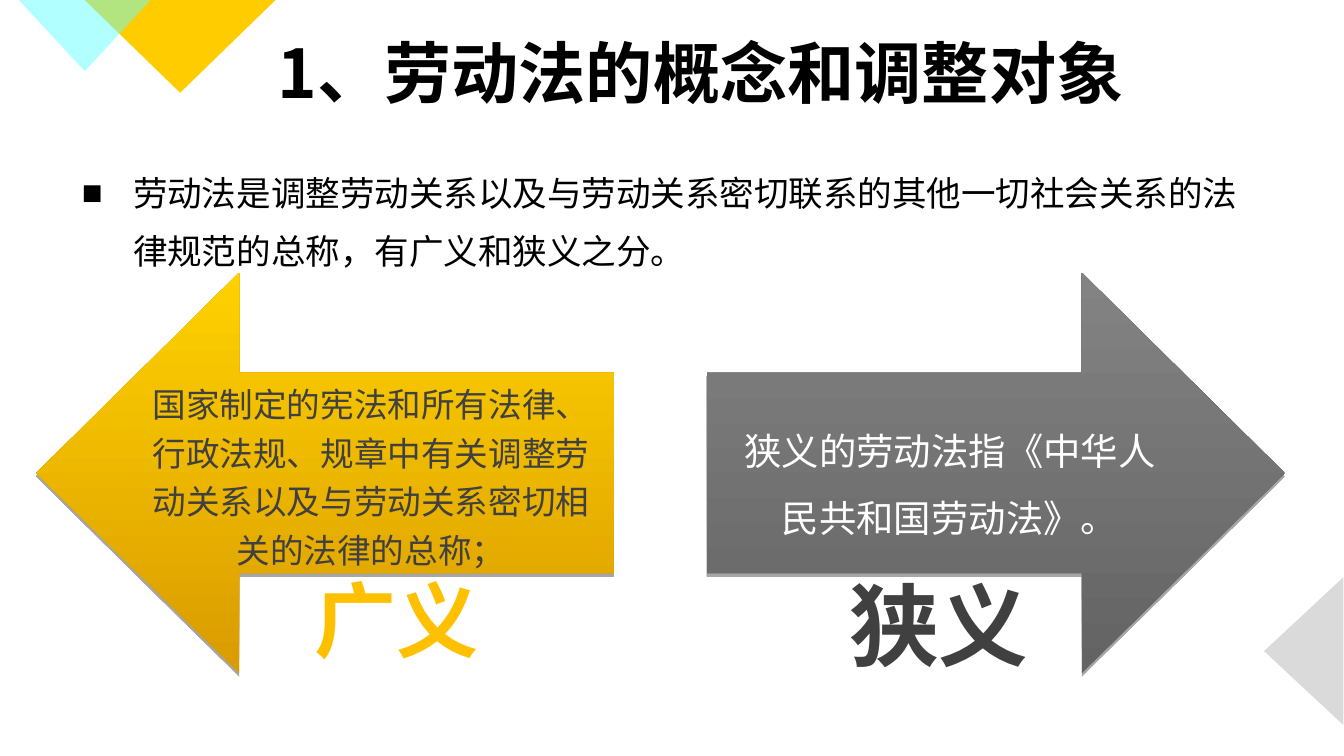
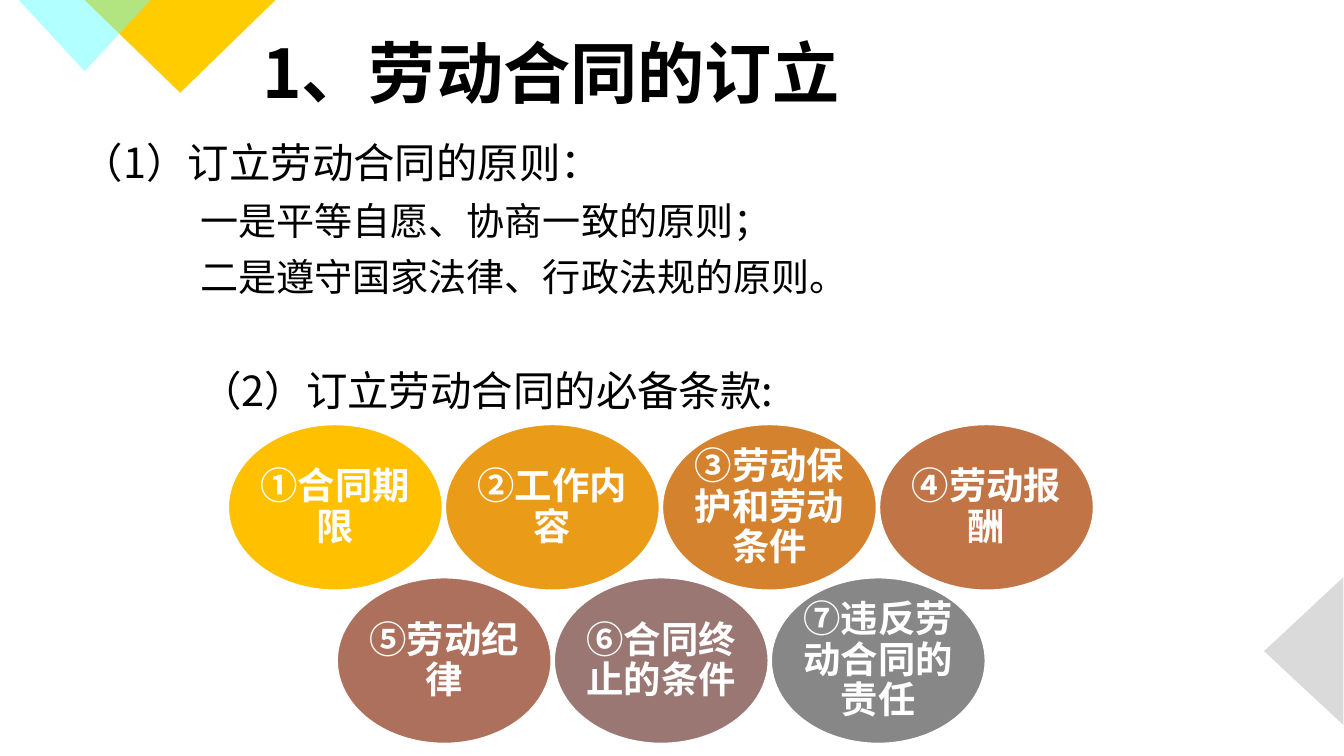
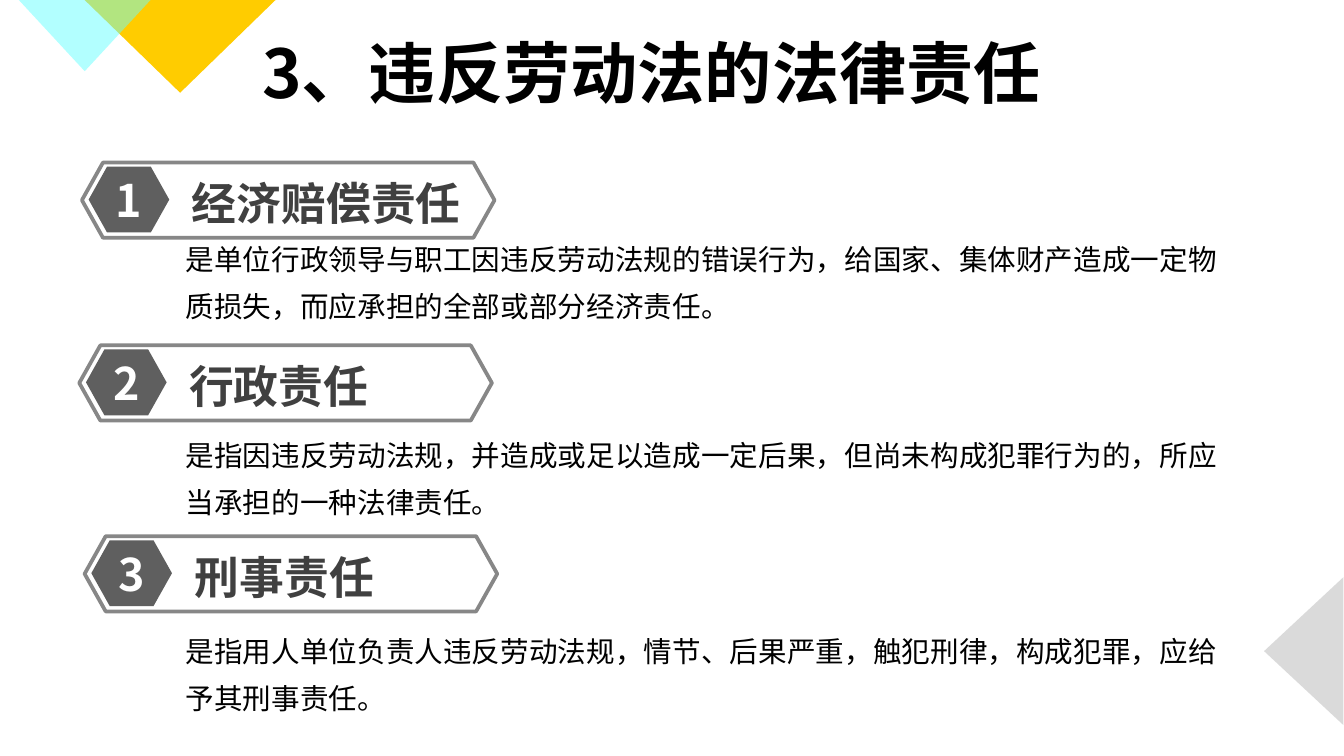
"""Build three slides on labour law: concept, contract and legal liability."""
from lxml import etree
from pptx import Presentation
from pptx import util as u
from pptx.dml.color import RGBColor
from pptx.enum import shapes, text
from pptx.oxml.ns import qn

FONT = "Noto Sans CJK SC"
COLORS = {
    "black": "000000", "white": "FFFFFF", "dark": "404040", "badge": "5F5F5F",
    "gray": "878787", "gold": "FFC000", "yellow": "FFCC00", "cyan": "66FFFF",
    "silver": "B7B7B7", "gold_low": "DA9C00", "gold_high": "FFD100",
    "gray_low": "636363", "gray_high": "838383", "orange": "EA9C18",
    "amber": "D5822F", "copper": "C17445", "clay": "AD705C", "mauve": "9A7772",
}
CENTER = text.PP_ALIGN.CENTER
LEFT = text.PP_ALIGN.LEFT


def rgb(name):
    return RGBColor.from_string(COLORS[name])


def place(shape, left, top, width, height):
    shape.left, shape.top = u.Inches(left), u.Inches(top)
    shape.width, shape.height = u.Inches(width), u.Inches(height)


def format_paragraph(paragraph, size, color="black", bold=False, align=LEFT,
                     line=None, before=0, margin=0, bullet=None):
    properties = paragraph._p.get_or_add_pPr()
    hanging = 0.38 if bullet else 0
    properties.set("marL", str(u.Inches(margin + hanging)))
    properties.set("indent", str(u.Inches(-hanging)))
    if bullet:
        etree.SubElement(properties, qn("a:buChar")).set("char", bullet)
    else:
        etree.SubElement(properties, qn("a:buNone"))
    paragraph.alignment = align
    paragraph.line_spacing = u.Pt(line or round(size * 1.2, 1))
    paragraph.space_before = u.Pt(before)
    paragraph.space_after = u.Pt(0)
    font = paragraph.font
    font.name, font.size, font.bold = FONT, u.Pt(size), bold
    font.color.rgb = rgb(color)
    east_asian = etree.SubElement(properties.find(qn("a:defRPr")), qn("a:ea"))
    east_asian.set("typeface", FONT)


def write(shape, content, size, margins=(0.1, 0.05, 0.1, 0.05),
          anchor=text.MSO_ANCHOR.MIDDLE, **style):
    frame = shape.text_frame
    frame.word_wrap = True
    frame.auto_size = text.MSO_AUTO_SIZE.NONE
    frame.vertical_anchor = anchor
    (frame.margin_left, frame.margin_top,
     frame.margin_right, frame.margin_bottom) = map(u.Inches, margins)
    frame.text = content
    format_paragraph(frame.paragraphs[0], size, **style)


def add_label(slide, content, left, top, width, height, size, color):
    label = slide.shapes.add_textbox(0, 0, 0, 0)
    place(label, left, top, width, height)
    write(label, content, size, anchor=text.MSO_ANCHOR.TOP, color=color, bold=True)


def add_solid(slide, preset, box, fill, line=None):
    shape = slide.shapes.add_shape(preset, *map(u.Inches, box))
    shape.shadow.inherit = False
    shape.fill.solid()
    shape.fill.fore_color.rgb = rgb(fill)
    if line:
        shape.line.color.rgb = rgb(line)
        shape.line.width = u.Pt(2)
    else:
        shape.line.fill.background()
    return shape


def add_hexagon(slide, box, fill, line=None):
    hexagon = add_solid(slide, shapes.MSO_SHAPE.HEXAGON, box, fill, line)
    hexagon.adjustments[0] = 0.28
    return hexagon


def add_corners(slide, layout):
    """Draw the corner triangles and hand them to the shared layout."""
    for box, rotation, color, opacity in (
            ((0.63, 0, 1.42, 0.69), 180, "yellow", 100),
            ((0.14, 0, 0.98, 0.53), 180, "cyan", 50),
            ((9.15, 4.55, 1.1, 0.59), 270, "silver", 50)):
        triangle = add_solid(slide, shapes.MSO_SHAPE.ISOSCELES_TRIANGLE, box, color)
        triangle.rotation = rotation
        if opacity < 100:
            fill_color = next(triangle.element.spPr.iter(qn("a:srgbClr")))
            etree.SubElement(fill_color, qn("a:alpha")).set("val", str(opacity * 1000))
        layout.shapes.element.append(triangle.element)


def add_slide(presentation, title, body_box):
    slide = presentation.slides.add_slide(presentation.slide_layouts[1])
    heading, body = slide.placeholders
    place(heading, 1.85, 0.27, 7.19, 0.53)
    write(heading, title, 36, bold=True)
    place(body, *body_box)
    return slide, body


def write_list(body, items):
    """Fill the body with (wording, style) pairs."""
    (first, style), *others = items
    write(body, first, anchor=text.MSO_ANCHOR.TOP, **style)
    for content, style in others:
        paragraph = body.text_frame.add_paragraph()
        paragraph.text = content
        format_paragraph(paragraph, **style)


def add_block_arrow(slide, tip, direction, low, high, content, size, line, color):
    """Draw an arrow whose head points left (-1) or right (1) from its tip."""
    middle, half, shaft, head, length = 3.52, 1.49, 0.745, 1.51, 4.3
    outline = [(0, 0), (head, -half), (head, -shaft), (length, -shaft),
               (length, shaft), (head, shaft), (head, half)]
    points = [(u.Inches(tip - direction * x), u.Inches(middle + y)) for x, y in outline]
    builder = slide.shapes.build_freeform(*points[0], scale=1.0)
    builder.add_line_segments(points[1:], close=True)
    arrow = builder.convert_to_shape()
    arrow.line.fill.background()
    arrow.fill.gradient()
    arrow.fill.gradient_angle = 90
    for stop, name in zip(arrow.fill.gradient_stops, (low, high)):
        stop.color.rgb = rgb(name)
    arrow.shadow.inherit = False
    shadow = etree.SubElement(arrow.element.spPr.find(qn("a:effectLst")),
                              qn("a:outerShdw"), dist=str(u.Pt(1.8)), dir="5400000")
    shade = etree.SubElement(shadow, qn("a:srgbClr"), val=COLORS["black"])
    etree.SubElement(shade, qn("a:alpha"), val="35000")
    sides = (0.84, 0.16) if direction < 0 else (0.16, 0.84)
    write(arrow, content, size, margins=(sides[0], 1.14, sides[1], 1.14),
          color=color, align=CENTER, line=line)


def add_concept(presentation):
    slide, body = add_slide(presentation, " 1、劳动法的概念和调整对象", (0.51, 1.11, 9, 0.99))
    add_corners(slide, presentation.slide_layouts[1])
    write_list(body, [(
        "劳动法是调整劳动关系以及与劳动关系密切联系的其他一切社会关系的法律规范的总称，有广义和狭义之分。",
        dict(size=18.5, line=31, bullet="■"))])
    add_block_arrow(
        slide, 0.27, -1, "gold_low", "gold_high",
        "国家制定的宪法和所有法律、行政法规、规章中有关调整劳动关系以及与劳动关系密切相关的法律的总称；",
        18, 26, "dark")
    add_block_arrow(slide, 9.56, 1, "gray_low", "gray_high",
                    "狭义的劳动法指《中华人民共和国劳动法》。", 20, 36, "white")
    add_label(slide, "广义", 2.24, 4.19, 1.65, 0.84, 44, "gold")
    add_label(slide, "狭义", 6.22, 4.19, 1.65, 0.9, 48, "dark")


def add_contract(presentation):
    slide, body = add_slide(presentation, "1、劳动合同的订立", (0.51, 0.95, 9, 2.2))
    principle = dict(size=20.4, line=25, before=5, margin=0.88)
    write_list(body, [
        ("（1）订立劳动合同的原则：", dict(size=22.2, line=28)),
        ("一是平等自愿、协商一致的原则；", principle),
        ("二是遵守国家法律、行政法规的原则。", principle),
        ("（2）订立劳动合同的必备条款:", dict(size=22.2, line=28, before=34, margin=0.88)),
    ])
    rows = (
        (1.69, 3.15, (("①合同期限", "gold"), ("②工作内容", "orange"),
                      ("③劳动保护和劳动条件", "amber"), ("④劳动报酬", "copper"))),
        (2.5, 4.29, (("⑤劳动纪律", "clay"), ("⑥合同终止的条件", "mauve"),
                     ("⑦违反劳动合同的责任", "gray"))),
    )
    for left, top, terms in rows:
        for column, (term, color) in enumerate(terms):
            box = (left + column * 1.615, top, 1.61, 1.25)
            oval = add_solid(slide, shapes.MSO_SHAPE.OVAL, box, color, "white")
            write(oval, term, 20, margins=(0, 0, 0, 0), color="white", bold=True,
                  align=CENTER, line=21.7)


def add_liability(presentation):
    slide, body = add_slide(presentation, "3、违反劳动法的法律责任", (1.28, 1.66, 8.06, 3.75))
    liabilities = (
        (0.61, 1.21, "经济赔偿责任",
         "是单位行政领导与职工因违反劳动法规的错误行为，给国家、集体财产造成一定物质损失，而应承担的全部或部分经济责任。"),
        (0.59, 2.57, "行政责任",
         "是指因违反劳动法规，并造成或足以造成一定后果，但尚未构成犯罪行为的，所应当承担的一种法律责任。"),
        (0.63, 3.99, "刑事责任",
         "是指用人单位负责人违反劳动法规，情节、后果严重，触犯刑律，构成犯罪，应给予其刑事责任。"),
    )
    write_list(body, [(meaning, dict(size=15.3, line=25, before=55 if index else 0))
                      for index, (*_, meaning) in enumerate(liabilities)])
    for number, (left, top, name, _) in enumerate(liabilities, 1):
        add_hexagon(slide, (left, top, 3.07, 0.56), "white", "gray")
        badge = add_hexagon(slide, (left + 0.05, top + 0.03, 0.6, 0.49), "badge")
        write(badge, str(number), 24, color="white", bold=True, align=CENTER)
        add_label(slide, name, left + 0.72, top + 0.05, 2.3, 0.5, 24, "dark")


def main():
    presentation = Presentation()
    presentation.slide_width = u.Inches(10)
    presentation.slide_height = u.Inches(5.625)
    add_concept(presentation)
    add_contract(presentation)
    add_liability(presentation)
    presentation.save("out.pptx")


if __name__ == "__main__":
    main()
